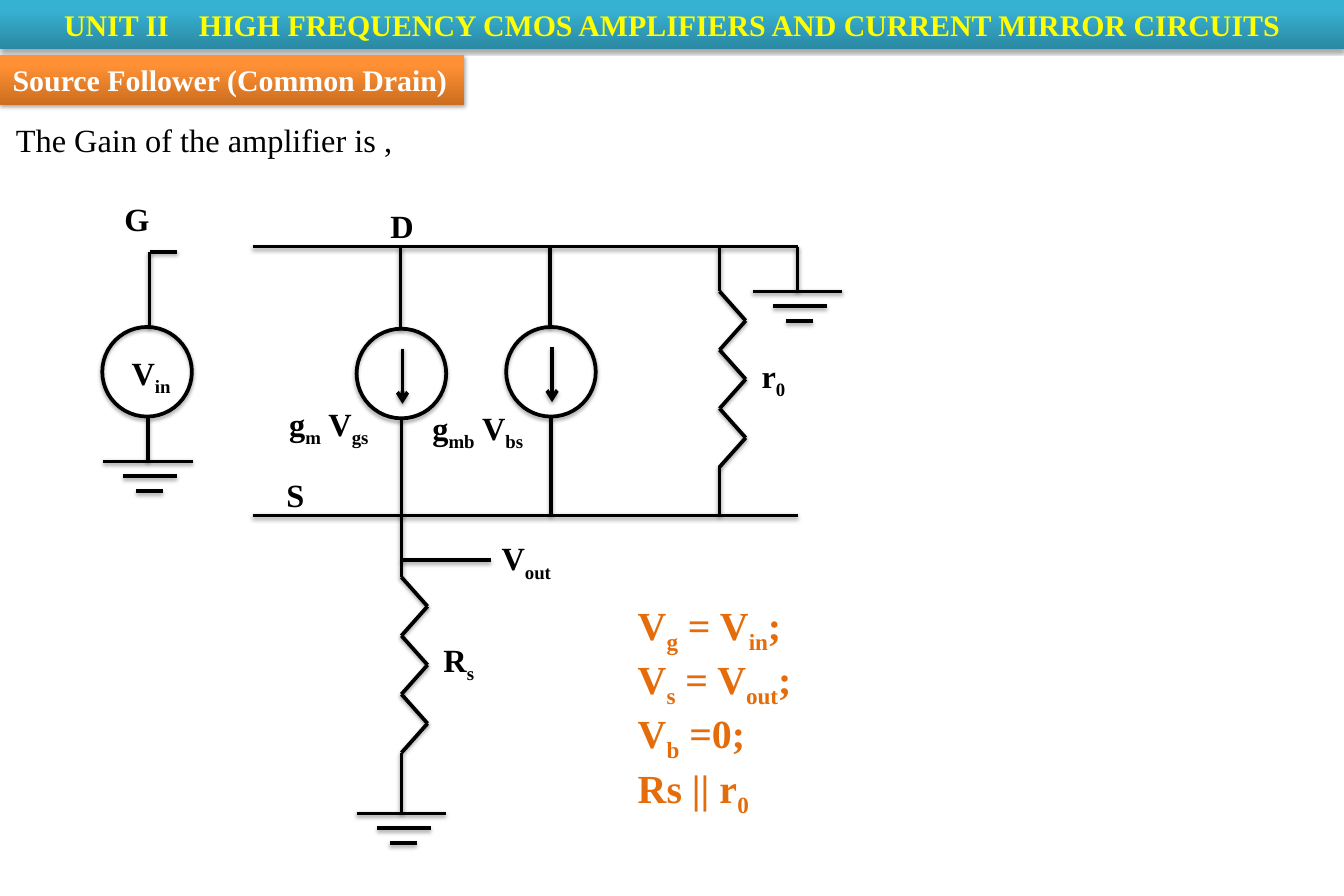
from lxml import etree
from pptx import Presentation
from pptx.dml.color import RGBColor
from pptx.enum.shapes import MSO_CONNECTOR, MSO_SHAPE
from pptx.enum.text import MSO_AUTO_SIZE, PP_ALIGN
from pptx.oxml import parse_xml
from pptx.oxml.ns import nsdecls, qn
from pptx.util import Cm, Pt

STRAIGHT = MSO_CONNECTOR.STRAIGHT
RECTANGLE, OVAL = MSO_SHAPE.RECTANGLE, MSO_SHAPE.OVAL
GROW = MSO_AUTO_SIZE.SHAPE_TO_FIT_TEXT
LEFT, CENTER = PP_ALIGN.LEFT, PP_ALIGN.CENTER

BLACK = RGBColor(0x00, 0x00, 0x00)
WHITE = RGBColor(0xFF, 0xFF, 0xFF)
YELLOW = RGBColor(0xFF, 0xFF, 0x00)
ORANGE = RGBColor(0xE4, 0x6C, 0x0A)
TEAL_DARK = RGBColor(0x2A, 0x88, 0xA2)
TEAL_LIGHT = RGBColor(0x37, 0xB1, 0xD2)
RUST_DARK = RGBColor(0xCC, 0x6E, 0x20)
RUST_LIGHT = RGBColor(0xFF, 0x90, 0x34)

FONT = "Times New Roman"
LINE_WIDTH = Pt(3)
TAB_WIDTH = Cm(3.61)
DIAMETER = 2.54
DRAIN_Y, SOURCE_Y = 6.99, 14.61
RAIL_LEFT, RAIL_RIGHT = 7.16, 22.61
SHADOW = (
    f'<a:effectLst {nsdecls("a")}>'
    '<a:outerShdw blurRad="40000" dist="23000" dir="5400000" rotWithShape="0">'
    '<a:srgbClr val="000000"><a:alpha val="35000"/></a:srgbClr>'
    '</a:outerShdw></a:effectLst>'
)


def write(box, lines, size, color, bold=True, align=LEFT, wrap=False,
          insets=(0.25, 0.13, 0.15)):
    """Fill a box with lines in which _underscores_ enclose a subscript.

    The insets are left, top and bottom, right, in centimetres.
    """
    side, edge, right = insets
    frame = box.text_frame
    frame.word_wrap = wrap
    frame.auto_size = GROW
    frame.margin_left, frame.margin_right = Cm(side), Cm(right)
    frame.margin_top = frame.margin_bottom = Cm(edge)
    for number, line in enumerate(lines):
        para = frame.add_paragraph() if number else frame.paragraphs[0]
        para.alignment = align
        para._p.get_or_add_pPr().set("defTabSz", str(TAB_WIDTH))
        for index, piece in enumerate(line.split("_")):
            if not piece:
                continue
            span = para.add_run()
            span.text = piece
            span.font.name = FONT
            span.font.size = Pt(size)
            span.font.bold = bold
            span.font.color.rgb = color
            if index % 2:
                span._r.get_or_add_rPr().set("baseline", "-25000")


deck = Presentation()
deck.slide_width, deck.slide_height = Cm(38.1), Cm(25.4)
page = deck.slides.add_slide(deck.slide_layouts[6])
shadowed = []

# Heading bars
headings = [
    ("UNIT II\t HIGH FREQUENCY CMOS AMPLIFIERS AND CURRENT MIRROR CIRCUITS",
     0, 38.1, TEAL_DARK, TEAL_LIGHT, YELLOW, CENTER, True),
    ("Source Follower (Common Drain)",
     1.57, 13.16, RUST_DARK, RUST_LIGHT, WHITE, LEFT, False),
]
for words, top, width, dark, light, color, align, wrap in headings:
    bar = page.shapes.add_shape(RECTANGLE, 0, Cm(top), Cm(width), Cm(1.4))
    bar.fill.gradient()
    bar.fill.gradient_angle = 90
    stops = bar.fill.gradient_stops
    stops[0].color.rgb, stops[0].position = dark, 0
    stops[1].color.rgb, stops[1].position = light, 0.8
    bar.line.fill.background()
    write(bar, [words], 24, color, align=align, wrap=wrap, insets=(0.36, 0.18, 0.36))
    shadowed.append(bar)

# Rails, leads and output wires: x1, y1, x2, y2
wires = [
    (RAIL_LEFT, DRAIN_Y, RAIL_RIGHT, DRAIN_Y),
    (RAIL_LEFT, SOURCE_Y, RAIL_RIGHT, SOURCE_Y),
    (20.4, DRAIN_Y, 20.4, 8.26),
    (20.4, 13.22, 20.4, SOURCE_Y),
    (RAIL_RIGHT, DRAIN_Y, RAIL_RIGHT, 8.26),
    (4.24, 7.14, 4.24, 9.27),
    (4.24, 7.14, 5.03, 7.14),
    (4.19, 11.81, 4.19, 13.08),
    (11.38, SOURCE_Y, 11.38, 16.36),
    (11.38, 15.88, 13.92, 15.88),
    (11.38, 21.34, 11.38, 23.06),
]
arrows = []

# Current sources between the rails
current_sources = [(10.11, 9.32), (14.35, 9.27)]
for left, top in current_sources:
    wires.append((left + 1.24, DRAIN_Y, left + 1.24, top))
    wires.append((left + 1.27, top + DIAMETER, left + 1.27, SOURCE_Y))
    arrows.append((left + 1.3, top + 0.56, left + 1.3, top + 2.13))

# Resistors r0 and Rs
for left, top in [(20.4, 8.26), (11.38, 16.36)]:
    for step in range(6):
        start, end = left + 0.74 * (step % 2), left + 0.74 * ((step + 1) % 2)
        wires.append((start, top + 0.83 * step, end, top + 0.83 * (step + 1)))

# Ground symbols
for left, top in [(21.34, 8.26), (2.92, 13.08), (10.11, 23.06)]:
    for row, (inset, length) in enumerate([(0, 2.54), (0.58, 1.52), (0.94, 0.76)]):
        y = top + 0.42 * row
        wires.append((left + inset, y, left + inset + length, y))

for left, top in current_sources + [(2.9, 9.27)]:
    circle = page.shapes.add_shape(OVAL, Cm(left), Cm(top), Cm(DIAMETER), Cm(DIAMETER))
    circle.fill.background()
    circle.line.color.rgb = BLACK
    circle.line.width = LINE_WIDTH
    shadowed.append(circle)

for ends in wires + arrows:
    wire = page.shapes.add_connector(STRAIGHT, *[Cm(value) for value in ends])
    wire.line.color.rgb = BLACK
    wire.line.width = LINE_WIDTH
    if ends in arrows:
        etree.SubElement(wire.line._get_or_add_ln(), qn("a:tailEnd"), type="arrow")
    shadowed.append(wire)

for shape in shadowed:
    shape._element.spPr.append(parse_xml(SHADOW))

# Text: lines, left, top, width, height, size, colour, bold
labels = [
    (["G"], 3.28, 5.51, 1.24),
    (["D"], 10.82, 5.72, 1.17),
    (["S"], 7.87, 13.34, 1.04),
    (["g_m_ V_gs_"], 7.95, 11.33, 2.92),
    (["g_mb_ V_bs_"], 12.01, 11.43, 3.3),
    (["r_0_"], 21.34, 9.96, 1.22),
    (["V_in_"], 3.48, 9.88, 1.65),
    (["V_out_"], 13.97, 15.14, 1.96),
    (["R_s_"], 12.32, 18.03, 1.42),
]
texts = [label + (1.37, 26, BLACK, True) for label in labels] + [
    (["The Gain of the amplifier is ,"], 0.2, 3.28, 11.28, 1.37, 26, BLACK, False),
    (["V_g_ = V_in_;", "V_s_ = V_out_;", "V_b_ =0;", "Rs || r_0_"],
     17.83, 16.89, 5.26, 5.74, 32, ORANGE, True),
]
for lines, left, top, width, height, size, color, bold in texts:
    box = page.shapes.add_textbox(Cm(left), Cm(top), Cm(width), Cm(height))
    write(box, lines, size, color, bold)

deck.save("out.pptx")
